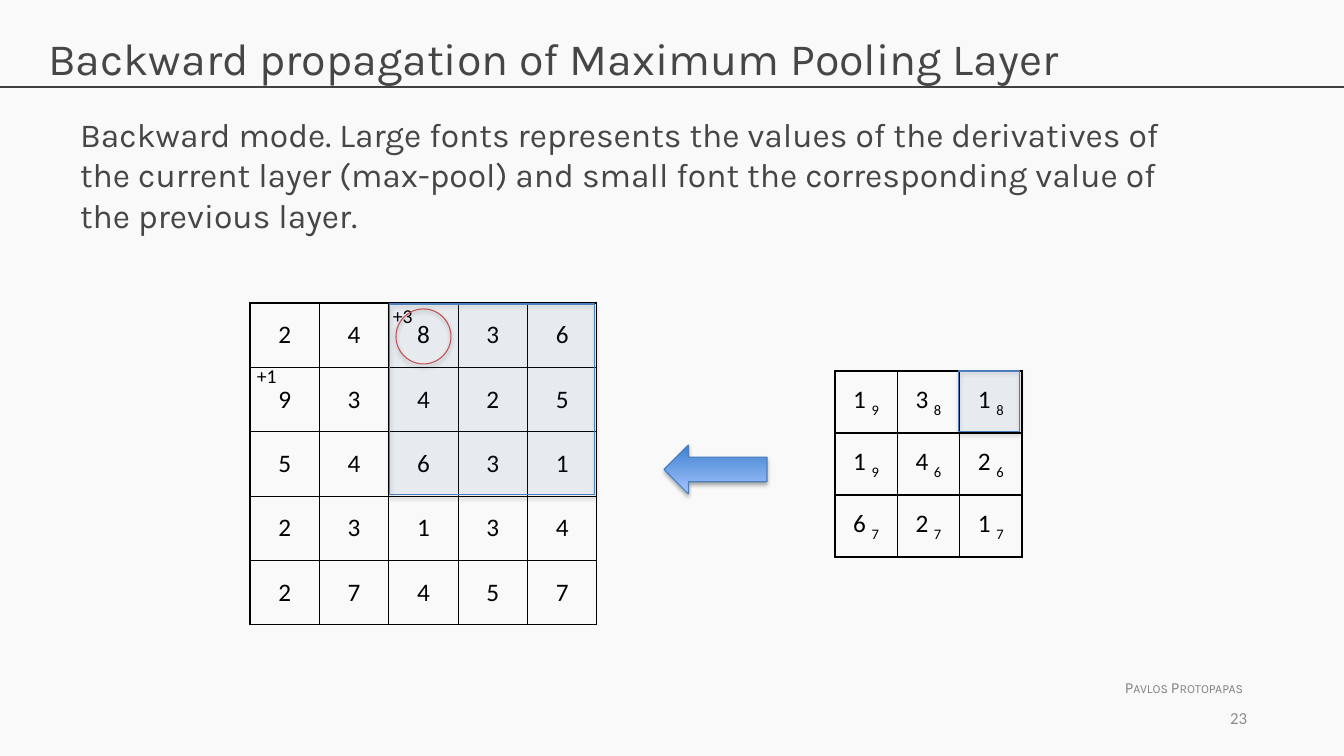
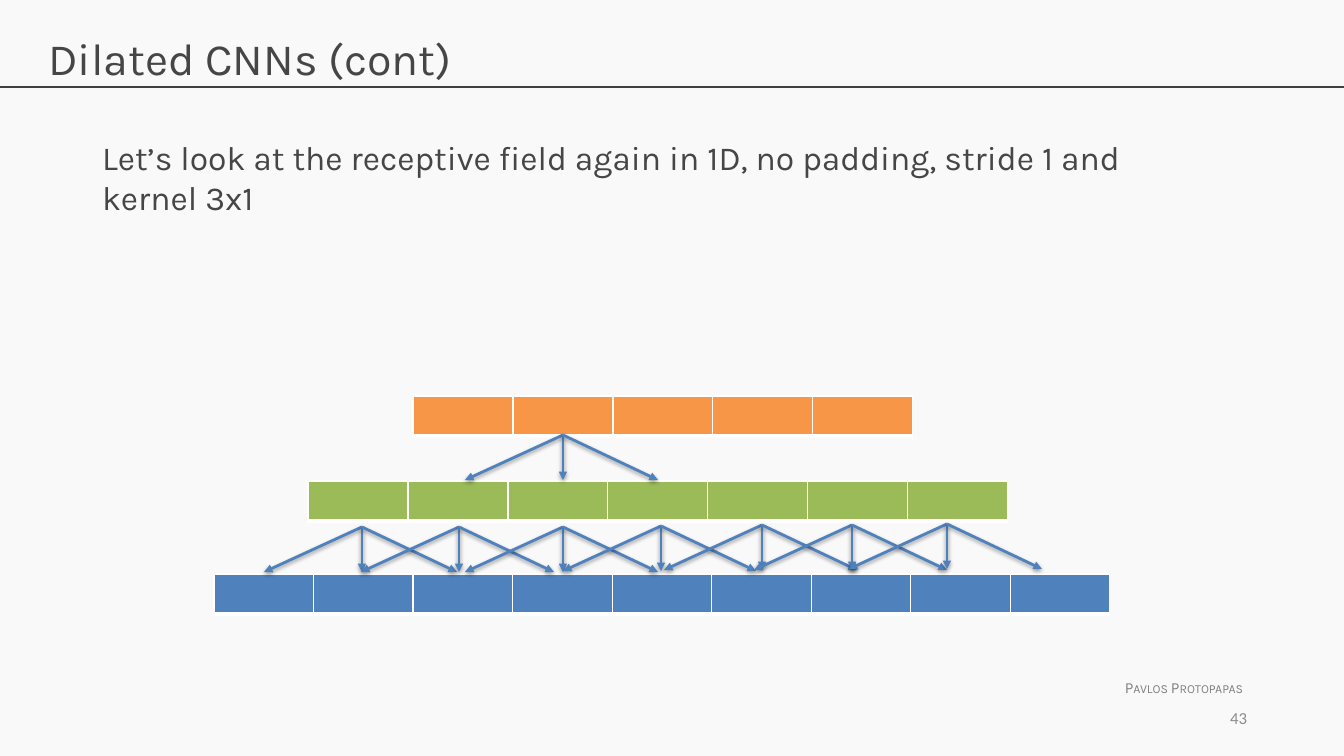
"""Build two lecture slides on pooling gradients and dilated convolutions."""
from lxml.etree import SubElement as Sub
from pptx import Presentation
from pptx.dml.color import RGBColor as Rgb
from pptx.enum.shapes import MSO_CONNECTOR as Link, MSO_SHAPE as Shape
from pptx.enum.text import MSO_ANCHOR as Anchor, MSO_AUTO_SIZE as Auto, PP_ALIGN as Align
from pptx.oxml.ns import qn
from pptx.util import Emu, Pt

WIDE, HIGH = 1344, 756
SCALE = 12192000 / WIDE
BLACK, WHITE, INK = "000000", "FFFFFF", "464646"
BLUE, GREEN, ORANGE, RED = "4F81BD", "9BBB59", "F79646", "C0504D"
EDGE = "4B7EBC"


def px(*nums):
    return [Emu(round(num * SCALE)) for num in nums]


def tint(color, code):
    color.rgb = Rgb.from_string(code)


class Deck:
    def __init__(self):
        self.prs = Presentation()
        self.prs.slide_width, self.prs.slide_height = px(WIDE, HIGH)
        back = self.prs.slide_master.background.fill
        back.solid()
        tint(back.fore_color, "F9F9F9")

    def start(self, title, number):
        self.slide = self.prs.slides.add_slide(self.prs.slide_layouts[1])
        self.shapes = self.slide.shapes
        self.holder(self.shapes.title, (38, 26, 1267, 85), title, 32)
        rule = self.line(0, 87, WIDE, 87, "404040", 0.75)
        Sub(rule._element.spPr, qn("a:effectLst"))
        name = self.label(1115, 673, 142, 29, "Pavlos Protopapas", 11, "808080", "Karla")
        name._r.get_or_add_rPr().set("cap", "small")
        self.label(944, 698, 313, 40, number, 12, "8C8C8C", align=Align.RIGHT)

    def run(self, para, text, size, code=BLACK, face="Calibri"):
        run = para.add_run()
        run.text = text
        run.font.size, run.font.name = Pt(size), face
        tint(run.font.color, code)
        return run

    def holder(self, shape, box, text, size):
        shape.left, shape.top, shape.width, shape.height = px(*box)
        frame = shape.text_frame
        frame.auto_size, frame.vertical_anchor = Auto.NONE, Anchor.TOP
        para = frame.paragraphs[0]
        para.alignment, para.space_before = Align.LEFT, Pt(0)
        props = para._p.get_or_add_pPr()
        props.set("marL", "0")
        props.set("indent", "0")
        Sub(props, qn("a:buNone"))
        self.run(para, text, size, INK, "Karla")

    def body(self, x, y, w, h, text):
        self.holder(self.slide.placeholders[1], (x, y, w, h), text, 24)

    def label(self, x, y, w, h, text, size, code=BLACK, face="Calibri", align=Align.LEFT):
        frame = self.shapes.add_textbox(*px(x, y, w, h)).text_frame
        frame.word_wrap = align == Align.RIGHT
        if align == Align.RIGHT:
            frame.vertical_anchor = Anchor.MIDDLE
        frame.paragraphs[0].alignment = align
        return self.run(frame.paragraphs[0], text, size, code, face)

    def grid(self, x, y, w, h, rows, fill=None, edge=BLACK, base=1):
        count = len(rows[0])
        table = self.shapes.add_table(len(rows), count, *px(x, y, w, h)).table
        table.first_row = table.horz_banding = False
        for col in table.columns:
            col.width = px(w / count)[0]
        for line, row in zip(table.rows, rows):
            line.height = px(h / len(rows))[0]
            for cell, text in zip(line.cells, row):
                self.cell(cell, text, fill)
                self.frame(cell, edge, base)

    def cell(self, cell, text, fill):
        cell.margin_top = cell.margin_bottom = 0
        cell.vertical_anchor = Anchor.MIDDLE
        if fill:
            cell.fill.solid()
            tint(cell.fill.fore_color, fill)
        else:
            cell.fill.background()
        para = cell.text_frame.paragraphs[0]
        para.alignment = Align.CENTER
        if text:
            main, sub = text[0], text[1:]
            self.run(para, main + " " if sub else main, 18)
            if sub:
                low = self.run(para, sub, 18)
                low._r.get_or_add_rPr().set("baseline", "-25000")

    def frame(self, cell, code, base):
        props = cell._tc.get_or_add_tcPr()
        for spot, side in enumerate("LRTB"):
            width = Pt(base if side == "B" else 1)
            edge = Sub(props, qn(f"a:ln{side}"), w=str(width))
            Sub(Sub(edge, qn("a:solidFill")), qn("a:srgbClr"), val=code)
            props.insert(spot, edge)

    def shape(self, kind, x, y, w, h, edge=EDGE):
        shape = self.shapes.add_shape(kind, *px(x, y, w, h))
        shape.line.width = Pt(0.75)
        tint(shape.line.color, edge)
        return shape

    def veil(self, x, y, w, h):
        shape = self.shape(Shape.RECTANGLE, x, y, w, h)
        shape.fill.solid()
        tint(shape.fill.fore_color, BLUE)
        color = shape._element.spPr.find(qn("a:solidFill"))[0]
        Sub(color, qn("a:alpha"), val="7000")

    def ring(self, x, y, size):
        self.shape(Shape.OVAL, x, y, size, size, RED).fill.background()

    def arrow(self, x, y, w, h):
        fill = self.shape(Shape.LEFT_ARROW, x, y, w, h).fill
        fill.gradient()
        fill.gradient_angle = 270
        for stop, spot, code in zip(fill.gradient_stops, (0, 1), ("3F80CE", "A4C4FF")):
            stop.position = spot
            tint(stop.color, code)

    def line(self, x, y, to_x, to_y, code, width, head=False):
        line = self.shapes.add_connector(Link.STRAIGHT, *px(x, y, to_x, to_y))
        line.line.width = Pt(width)
        tint(line.line.color, code)
        if head:
            Sub(line._element.spPr.find(qn("a:ln")), qn("a:tailEnd"), type="triangle")
        return line

    def fan(self, x, y):
        for step in (-98, 0, 95):
            self.line(x, y, x + step, y + 45, BLUE, 2, True)


def pool(deck):
    deck.start("Backward propagation of Maximum Pooling Layer", "23")
    deck.body(70, 109, 1138, 130, "Backward mode. Large fonts represents the values of the "
              "derivatives of the current layer (max-pool) and small font the "
              "corresponding value of the previous layer.")
    deck.grid(250, 303, 347, 322, ["24836", "93425", "54631", "23134", "27457"])
    deck.arrow(664, 445, 103, 49)
    deck.grid(835, 371, 187, 186,
              [["19", "38", "18"], ["19", "46", "26"], ["67", "27", "17"]])
    deck.veil(390, 304, 205, 191)
    deck.label(247, 359, 40, 34, "+1", 14)
    deck.label(383, 299, 40, 34, "+3", 14)
    deck.veil(959, 371, 61, 61)
    deck.ring(396, 309, 55)


def dilate(deck):
    deck.start("Dilated CNNs (cont)", "43")
    deck.body(92, 132, 1138, 233, "Let’s look at the receptive field again in 1D, "
              "no padding, stride 1 and kernel 3x1")
    bars = [(214, 574, 896, 9, BLUE), (308, 481, 700, 7, GREEN), (413, 396, 500, 5, ORANGE)]
    for x, y, w, count, code in bars:
        deck.grid(x, y, w, 40, [[""] * count], code, WHITE, 3)
    tips = [(563, 435), (362, 527), (459, 527), (563, 527), (661, 526),
            (762, 525), (852, 525), (947, 524)]
    for x, y in tips:
        deck.fan(x, y)


def main():
    deck = Deck()
    pool(deck)
    dilate(deck)
    deck.prs.save("out.pptx")


if __name__ == "__main__":
    main()
